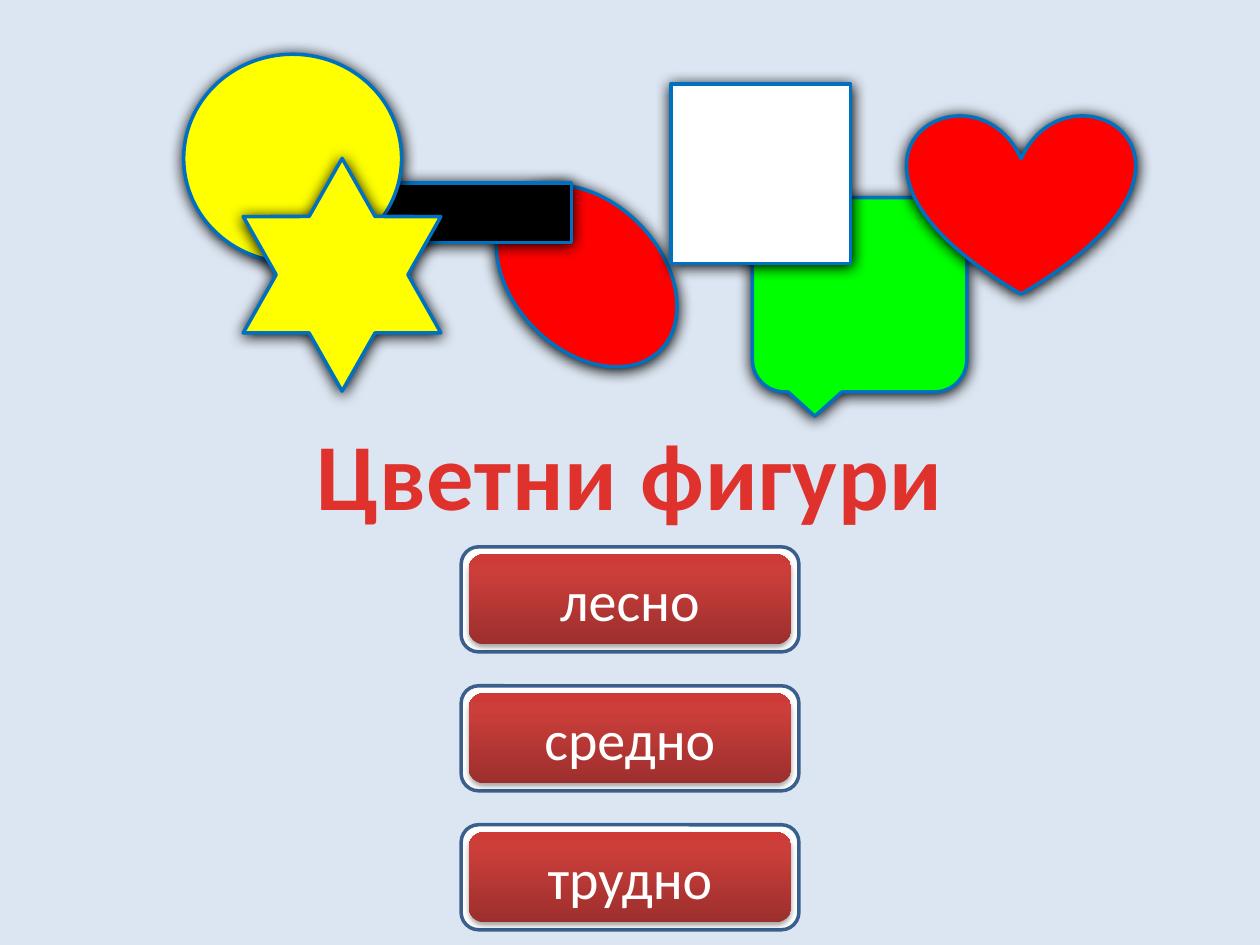
from copy import deepcopy

from lxml import etree
from pptx import Presentation
from pptx import util as u
from pptx.dml.color import RGBColor
from pptx.enum import shapes, text
from pptx.oxml.ns import qn

SLIDE_WIDTH, SLIDE_HEIGHT = 720, 540
FONT = "Calibri"
COLORS = {
    "background": "DCE6F2", "outline": "0070C0", "frame": "3A5F8C",
    "red": "FF0000", "yellow": "FFFF00", "green": "00FF00",
    "black": "000000", "white": "FFFFFF", "title": "E0322D",
    "button_dark": "9C2F2D", "button_mid": "CB3E3A", "button_light": "CE3B37",
}
KIND = shapes.MSO_SHAPE

# kind, fill, (left, top, width, height), rotation; from back to front
FIGURES = [
    (KIND.OVAL, "red", (293, 98, 84.5, 119.5), 315.5),
    (KIND.RECTANGLE, "black", (184.5, 104.5, 142, 34), 0),
    (KIND.OVAL, "yellow", (105, 31, 124.5, 119), 0),
    (KIND.STAR_6_POINT, "yellow", (139, 90.5, 113, 133), 0),
    (KIND.ROUNDED_RECTANGULAR_CALLOUT, "green", (430, 113, 122.5, 111), 0),
    (KIND.RECTANGLE, "white", (383.5, 48, 102.5, 102.5), 0),
    (KIND.HEART, "red", (518.5, 65, 130, 103), 0),
]
TITLE = "Цветни фигури"
TITLE_BOX = (171.5, 234, 377, 72.7)
LEVELS = ["лесно", "средно", "трудно"]
BUTTON_WIDTH, BUTTON_HEIGHT, BUTTON_INSET = 193, 60, 4.3
BUTTON_TOP, BUTTON_STEP = 312.5, 79.4
BUTTON_STOPS = [(0, "button_dark"), (0.8, "button_mid"), (1, "button_light")]


def color(name):
    return RGBColor.from_string(COLORS[name])


def place(shape, box):
    shape.left, shape.top, shape.width, shape.height = map(u.Pt, box)


def add_figure(parent, kind, box, fill=None, line=None):
    """Add a shape without shadow; no fill or line name leaves that part off."""
    shape = parent.add_shape(kind, *map(u.Pt, box))
    shape.shadow.inherit = False
    if fill:
        shape.fill.solid()
        shape.fill.fore_color.rgb = color(fill)
    if line:
        shape.line.color.rgb = color(line)
        shape.line.width = u.Pt(2)
    else:
        shape.line.fill.background()
    return shape


def add_shadow(shape, opacity, blur, distance):
    """Cast a black shadow straight down."""
    effects = shape._element.spPr.find(qn("a:effectLst"))
    shadow = etree.SubElement(
        effects, qn("a:outerShdw"), blurRad=str(u.Pt(blur)),
        dist=str(u.Pt(distance)), dir="5400000", rotWithShape="0")
    black = etree.SubElement(shadow, qn("a:srgbClr"), val=COLORS["black"])
    etree.SubElement(black, qn("a:alpha"), val=str(opacity * 1000))


def fill_gradient(shape, stops):
    """Blend the stops from the bottom of the shape to its top."""
    shape.fill.gradient()
    shape.fill.gradient_angle = 90
    stop_list = shape._element.spPr.find(".//" + qn("a:gsLst"))
    while len(stop_list) < len(stops):
        stop_list.append(deepcopy(stop_list[-1]))
    for stop, (position, name) in zip(shape.fill.gradient_stops, stops):
        stop.position = position
        stop.color.rgb = color(name)


def write(shape, words, size, name, bold=False):
    paragraph = shape.text_frame.paragraphs[0]
    paragraph.alignment = text.PP_ALIGN.CENTER
    run = paragraph.add_run()
    run.text = words
    run.font.name = FONT
    run.font.size = u.Pt(size)
    run.font.bold = bold
    run.font.color.rgb = color(name)
    return run


def add_title(slide):
    title = slide.shapes.title
    place(title, TITLE_BOX)
    frame = title.text_frame
    frame.word_wrap = False
    frame.auto_size = text.MSO_AUTO_SIZE.SHAPE_TO_FIT_TEXT
    frame.vertical_anchor = text.MSO_ANCHOR.TOP
    run = write(title, TITLE, 54, "title", bold=True)
    run.font._element.set("spc", "50")


def add_button(slide, words, top):
    group = slide.shapes.add_group_shape().shapes
    left = (SLIDE_WIDTH - BUTTON_WIDTH) / 2
    add_figure(group, KIND.ROUNDED_RECTANGLE,
               (left, top, BUTTON_WIDTH, BUTTON_HEIGHT), "white", "frame")
    face = add_figure(group, KIND.ROUNDED_RECTANGLE,
                      (left + BUTTON_INSET, top + BUTTON_INSET,
                       BUTTON_WIDTH - 2 * BUTTON_INSET,
                       BUTTON_HEIGHT - 2 * BUTTON_INSET))
    fill_gradient(face, BUTTON_STOPS)
    add_shadow(face, 35, 3.1, 1.8)
    face.text_frame.vertical_anchor = text.MSO_ANCHOR.MIDDLE
    write(face, words, 32, "white")


def main():
    presentation = Presentation()
    presentation.slide_width = u.Pt(SLIDE_WIDTH)
    presentation.slide_height = u.Pt(SLIDE_HEIGHT)
    slide = presentation.slides.add_slide(presentation.slide_layouts[5])
    slide.background.fill.solid()
    slide.background.fill.fore_color.rgb = color("background")

    for kind, fill, box, rotation in FIGURES:
        figure = add_figure(slide.shapes, kind, box, fill, "outline")
        figure.rotation = rotation
        add_shadow(figure, 100, 8.5, 1)
    add_title(slide)
    for row, words in enumerate(LEVELS):
        add_button(slide, words, BUTTON_TOP + row * BUTTON_STEP)

    presentation.save("out.pptx")


if __name__ == "__main__":
    main()
